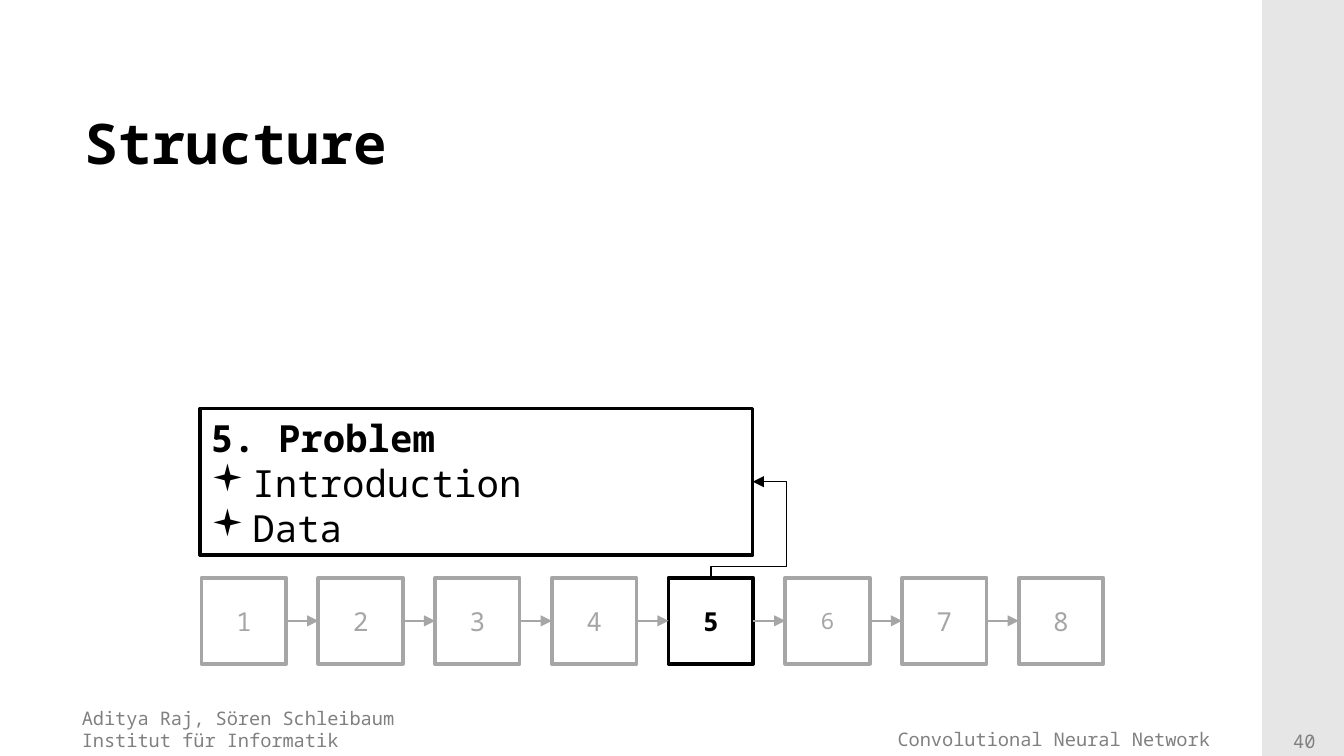
import pptx
import pptx.util
import pptx.dml.color
import pptx.enum.shapes
import pptx.enum.text
import pptx.oxml.ns
from lxml import etree

TITLE = "Structure"
STEPS = ["1", "2", "3", "4", "5", "6", "7", "8"]
CURRENT = "5"
STEP_SIZES = {"6": 12}
PANEL_HEADING = "5. Problem"
PANEL_TOPICS = ["Introduction", "Data"]
AUTHORS = ["Aditya Raj, Sören Schleibaum", "Institut für Informatik"]
TOPIC = "Convolutional Neural Network"
PAGE = "40"

FONT = "Noto Sans Mono"
COLORS = {"ink": "000000", "muted": "A6A6A6", "footer": "808080",
          "band": "E6E6E6", "paper": "FFFFFF"}

WIDTH = 10
HEIGHT = WIDTH * 9 / 16
BAND_LEFT = 9.39
STEP_LEFT, STEP_LAST, STEP_TOP = 1.5, 7.58, 4.3
STEP_PITCH = (STEP_LAST - STEP_LEFT) / (len(STEPS) - 1)
STEP_WIDTH, STEP_HEIGHT = 0.63, 0.64
PANEL = (1.49, 3.04, 4.11, 1.09)
ELBOW_RISE, ELBOW_OUT = 0.12, 1.81

Inches, Pt = pptx.util.Inches, pptx.util.Pt
ALIGN = pptx.enum.text.PP_ALIGN
ANCHOR = pptx.enum.text.MSO_ANCHOR
CONNECTOR = pptx.enum.shapes.MSO_CONNECTOR
qn = pptx.oxml.ns.qn

deck = pptx.Presentation()
deck.slide_width, deck.slide_height = Inches(WIDTH), Inches(HEIGHT)
slide = deck.slides.add_slide(deck.slide_layouts[6])


def rgb(name):
    return pptx.dml.color.RGBColor.from_string(COLORS[name])


def add_run(paragraph, text, size, color, bold=False):
    run = paragraph.add_run()
    run.text = text
    run.font.name, run.font.size, run.font.bold = FONT, Pt(size), bold
    run.font.color.rgb = rgb(color)


def add_rect(box, fill, outline=None):
    rect = slide.shapes.add_shape(pptx.enum.shapes.MSO_SHAPE.RECTANGLE, *map(Inches, box))
    rect.shadow.inherit = False
    rect.fill.solid()
    rect.fill.fore_color.rgb = rgb(fill)
    if outline:
        rect.line.color.rgb, rect.line.width = rgb(outline), Pt(2)
    else:
        rect.line.fill.background()
    return rect


def add_text(box, lines, size, color, bold=False, align=ALIGN.LEFT):
    frame = slide.shapes.add_textbox(*map(Inches, box)).text_frame
    frame.word_wrap = True
    for index, line in enumerate(lines):
        paragraph = frame.add_paragraph() if index else frame.paragraphs[0]
        paragraph.alignment = align
        add_run(paragraph, line, size, color, bold)
    return frame


def add_arrow(kind, start, start_site, end, end_site, color):
    """Join two rectangles, with an arrowhead at the second."""
    arrow = slide.shapes.add_connector(kind, 0, 0, 0, 0)
    arrow.begin_connect(start, start_site)
    arrow.end_connect(end, end_site)
    arrow.line.color.rgb, arrow.line.width = rgb(color), Pt(0.75)
    properties = arrow._element.spPr
    etree.SubElement(properties.find(qn("a:ln")), qn("a:tailEnd"), type="triangle")
    etree.SubElement(properties, qn("a:effectLst"))
    return arrow


def bend_around_corner(arrow):
    """Route an elbow up, out to the right and back to the left."""
    center_x = (arrow.begin_x + arrow.end_x) // 2
    center_y = (arrow.begin_y + arrow.end_y) // 2
    run, rise = abs(arrow.end_x - arrow.begin_x), abs(arrow.end_y - arrow.begin_y)
    arrow.left, arrow.top = center_x - rise // 2, center_y - run // 2
    arrow.width, arrow.height = rise, run
    frame = arrow._element.spPr.find(qn("a:xfrm"))
    for key, value in (("rot", "5400000"), ("flipH", "1"), ("flipV", "1")):
        frame.set(key, value)
    geometry = arrow._element.spPr.find(qn("a:prstGeom"))
    geometry.set("prst", "bentConnector4")
    guides = geometry.find(qn("a:avLst"))
    for name, share in (("adj1", ELBOW_RISE), ("adj2", ELBOW_OUT)):
        etree.SubElement(guides, qn("a:gd"), name=name, fmla=f"val {round(share * 100000)}")


add_rect((BAND_LEFT, 0, WIDTH - BAND_LEFT, HEIGHT), "band")
add_text((0.51, 5.21, 4.25, 0.44), AUTHORS, 10, "footer")
add_text((4.85, 5.37, 4.25, 0.27), [TOPIC], 10, "footer", align=ALIGN.RIGHT)
add_text((9.45, 5.38, 0.51, 0.27), [PAGE], 10, "footer", align=ALIGN.CENTER)
title = add_text((0.53, 0.77, 8.64, 0.57), [TITLE], 30, "ink", bold=True)
title.vertical_anchor = ANCHOR.MIDDLE

panel = add_rect(PANEL, "paper", "ink")
panel_text = add_text((1.47, 3.04, 3.88, 1.11), [PANEL_HEADING], 20, "ink", bold=True)
for topic in PANEL_TOPICS:
    paragraph = panel_text.add_paragraph()
    properties = paragraph._p.get_or_add_pPr()
    properties.set("marL", str(Inches(0.31)))
    properties.set("indent", str(-Inches(0.31)))
    etree.SubElement(properties, qn("a:buFont"), typeface="Wingdings")
    etree.SubElement(properties, qn("a:buChar"), char="▪")
    add_run(paragraph, topic, 20, "ink")

boxes = []
for index, step in enumerate(STEPS):
    color = "ink" if step == CURRENT else "muted"
    box = add_rect((STEP_LEFT + index * STEP_PITCH, STEP_TOP, STEP_WIDTH, STEP_HEIGHT),
                   "paper", color)
    box.text_frame.vertical_anchor = ANCHOR.MIDDLE
    label = box.text_frame.paragraphs[0]
    label.alignment = ALIGN.CENTER
    add_run(label, step, STEP_SIZES.get(step, 14), color, step == CURRENT)
    boxes.append(box)

for start, end in zip(boxes, boxes[1:]):
    add_arrow(CONNECTOR.STRAIGHT, start, 3, end, 1, "muted")
bend_around_corner(add_arrow(CONNECTOR.ELBOW, boxes[STEPS.index(CURRENT)], 0, panel, 3, "ink"))

deck.save("out.pptx")
